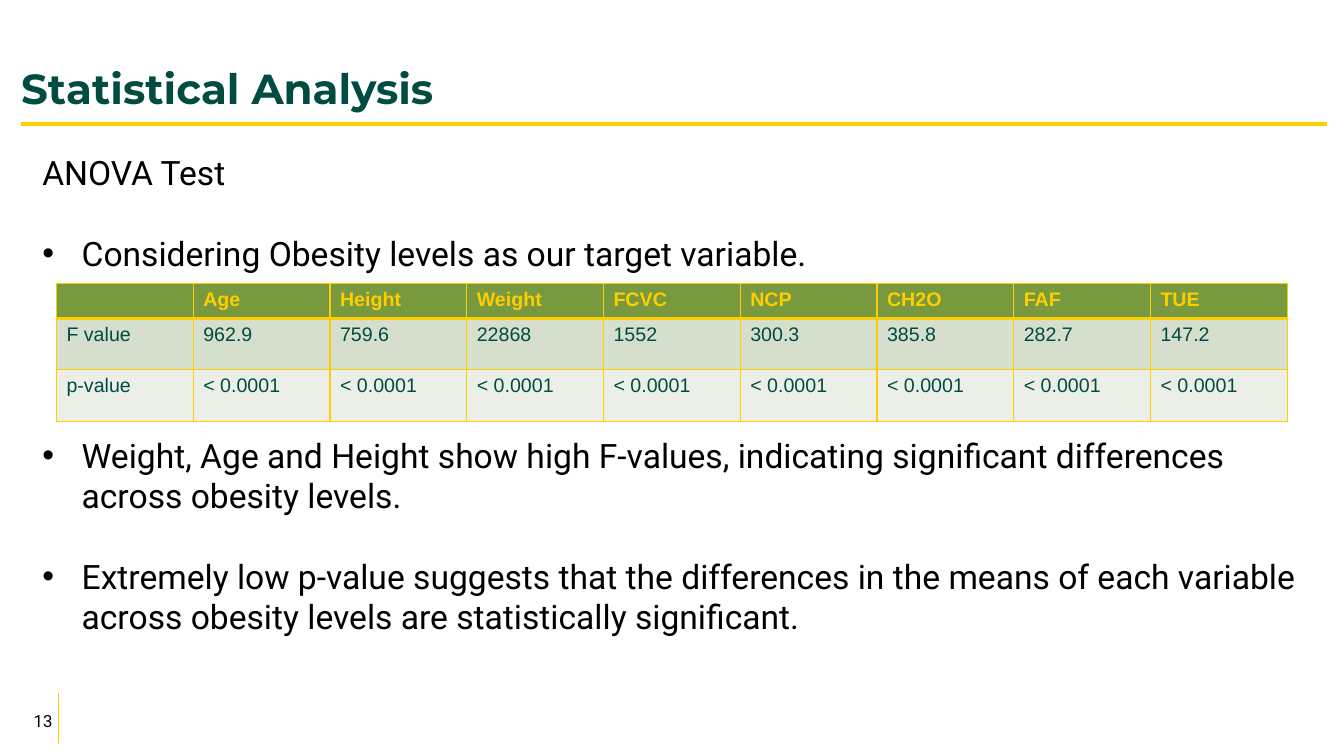
from lxml.etree import SubElement
from pptx import Presentation
from pptx.dml.color import RGBColor
from pptx.enum.shapes import MSO_CONNECTOR as Connector
from pptx.enum.text import MSO_ANCHOR as Anchor, MSO_AUTO_SIZE as AutoSize, PP_ALIGN as Align
from pptx.oxml import parse_xml
from pptx.oxml.ns import nsdecls, qn
from pptx.util import Inches, Pt

COLORS = {"gold": "FFCE00", "pine": "004C42", "black": "000000",
          "header": "78993D", "band": "D6DECE", "pale": "ECEFE8"}


def style_font(font, name, size, color, bold=False):
    formats = {"name": name, "size": Pt(size), "bold": bold}
    for attribute, value in formats.items():
        setattr(font, attribute, value)
    font.color.rgb = RGBColor.from_string(COLORS[color])


def set_frame(shape, box, margins, anchor):
    shape.left, shape.top, shape.width, shape.height = map(Inches, box)
    side, edge = map(Inches, margins)
    formats = {"margin_left": side, "margin_right": side, "margin_top": edge,
               "margin_bottom": edge, "vertical_anchor": anchor,
               "word_wrap": True, "auto_size": AutoSize.NONE}
    for attribute, value in formats.items():
        setattr(shape.text_frame, attribute, value)


deck = Presentation()
deck.slide_width, deck.slide_height = Inches(13.33), Inches(7.5)
slide = deck.slides.add_slide(deck.slide_layouts[1])

# Gold rules: beside the page number and under the title
for x1, y1, x2, y2, weight in [(0.58, 6.88, 0.58, 7.38, 0.75),
                               (0.21, 1.23, 13.16, 1.23, 3)]:
    rule = slide.shapes.add_connector(Connector.STRAIGHT, *map(Inches, (x1, y1, x2, y2)))
    rule.line.color.rgb = RGBColor.from_string(COLORS["gold"])
    rule.line.width = Pt(weight)
    SubElement(rule._element.spPr, qn("a:effectLst"))

# Page number
page_number = slide.shapes.add_textbox(0, 0, 0, 0)
set_frame(page_number, (0, 6.95, 0.62, 0.4), (0.1, 0.05), Anchor.MIDDLE)
number_line = page_number.text_frame.paragraphs[0]
number_line.text = "13"
number_line.alignment = Align.RIGHT
style_font(number_line.runs[0].font, "Roboto", 12, "black")

# Title
title = slide.shapes.title
set_frame(title, (0.21, 0, 12.96, 1.13), (0, 0), Anchor.BOTTOM)
heading = title.text_frame.paragraphs[0]
heading.text = "Statistical Analysis"
heading.alignment = Align.LEFT
heading.line_spacing = 0.9
style_font(heading.runs[0].font, "Montserrat", 30, "pine", True)

# Findings: text, space before in points, bulleted or not
findings = [
    ("ANOVA Test", 0, False),
    ("Considering Obesity levels as our target variable.", 28.8, True),
    ("Weight, Age and Height show high F-values, indicating significant "
     "differences across obesity levels.", 115.2, True),
    ("Extremely low p-value suggests that the differences in the means of each "
     "variable across obesity levels are statistically significant.", 28.8, True),
]
body = slide.placeholders[1]
set_frame(body, (0.21, 1.51, 12.96, 5.62), (0.1, 0), Anchor.TOP)
for index, (sentence, gap, bulleted) in enumerate(findings):
    finding = body.text_frame.paragraphs[0] if index == 0 else body.text_frame.add_paragraph()
    finding.text = sentence
    finding.space_before = Pt(gap)
    style_font(finding.runs[0].font, "Roboto", 24, "black")
    layout = finding._p.get_or_add_pPr()
    layout.set("marL", str(Inches(0.5 if bulleted else 0.11)))
    layout.set("indent", str(Inches(-0.39 if bulleted else 0)))
    if bulleted:
        SubElement(layout, qn("a:buFont"), typeface="Arial")
        SubElement(layout, qn("a:buChar"), char="•")
    else:
        SubElement(layout, qn("a:buNone"))

# ANOVA table
anova = [
    ["", "Age", "Height", "Weight", "FCVC", "NCP", "CH2O", "FAF", "TUE"],
    ["F value", "962.9", "759.6", "22868", "1552", "300.3", "385.8", "282.7", "147.2"],
    ["p-value"] + ["< 0.0001"] * 8,
]
row_styles = [(0.35, "header", "gold", True), (0.51, "band", "pine", False),
              (0.51, "pale", "pine", False)]
table = slide.shapes.add_table(3, 9, Inches(0.56), Inches(2.81),
                               Inches(12.21), Inches(1.37)).table
for column in table.columns:
    column.width = Inches(12.21 / 9)
for r, (height, fill, ink, bold) in enumerate(row_styles):
    table.rows[r].height = Inches(height)
    for c, value in enumerate(anova[r]):
        cell = table.cell(r, c)
        cell.fill.solid()
        cell.fill.fore_color.rgb = RGBColor.from_string(COLORS[fill])
        cell_line = cell.text_frame.paragraphs[0]
        cell_line.text = value
        style_font(cell_line.font, "Arial", 14, ink, bold)
        for run in cell_line.runs:
            style_font(run.font, "Arial", 14, ink, bold)
        # Borders, with a heavier one under the header row
        for position, side in enumerate("LRTB"):
            heavy = (r, side) in [(0, "B"), (1, "T")]
            border = parse_xml(
                f'<a:ln{side} {nsdecls("a")} w="{Pt(3 if heavy else 1)}"><a:solidFill>'
                f'<a:srgbClr val="{COLORS["gold"]}"/></a:solidFill></a:ln{side}>')
            cell._tc.get_or_add_tcPr().insert(position, border)

deck.save("out.pptx")
